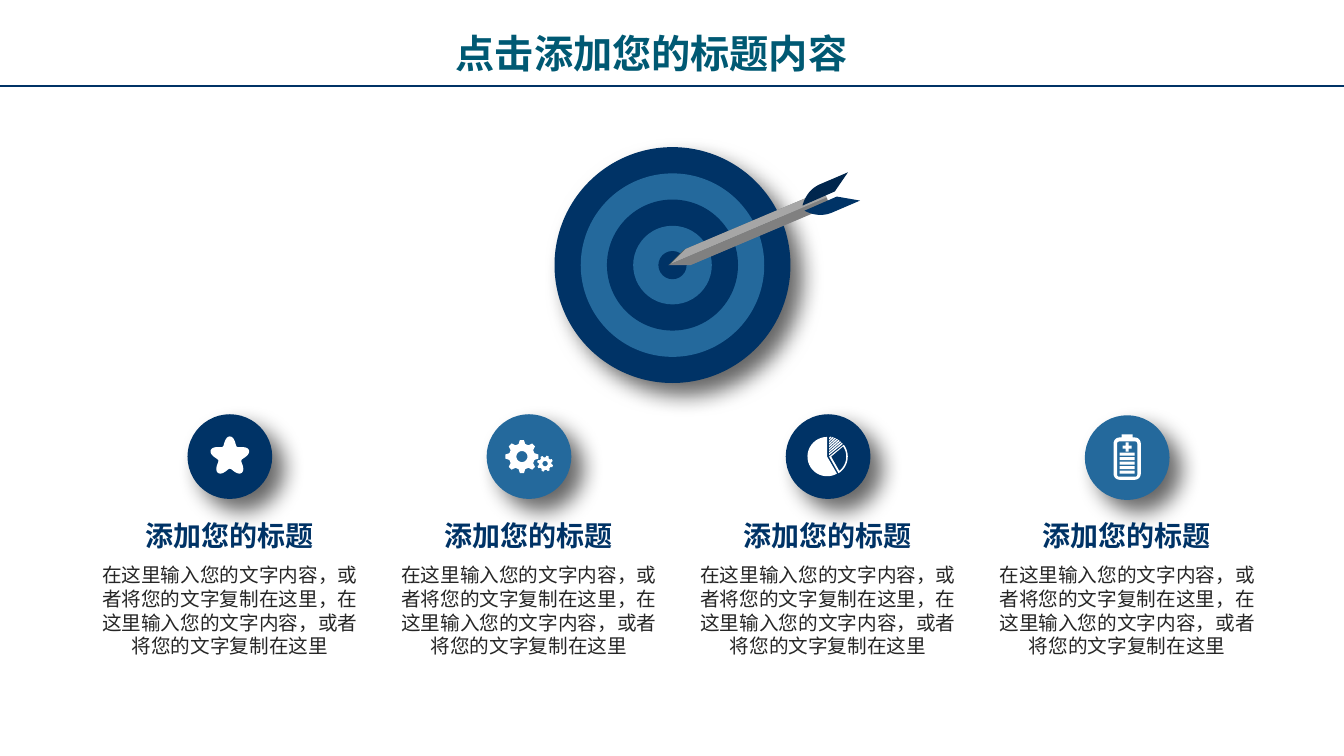
from dataclasses import dataclass
from math import cos, radians, sin

from lxml import etree
from pptx import Presentation
from pptx.dml.color import RGBColor
from pptx.enum import shapes, text
from pptx.oxml.ns import qn
from pptx.util import Inches, Pt

NAVY = RGBColor(0x00, 0x33, 0x66)
BLUE = RGBColor(0x24, 0x69, 0x9C)
DARK_NAVY = RGBColor(0x00, 0x26, 0x4D)
TEAL = RGBColor(0x00, 0x59, 0x73)
WHITE = RGBColor(0xFF, 0xFF, 0xFF)
INK = RGBColor(0x26, 0x26, 0x26)
SLATE = RGBColor(0x51, 0x5D, 0x5D)
GREY = RGBColor(0x80, 0x80, 0x80)
MID_GREY = RGBColor(0x82, 0x82, 0x86)
LIGHT_GREY = RGBColor(0xA6, 0xA6, 0xA6)
FONT = "Noto Sans CJK SC"
HEADING = "添加您的标题"
BODY = "在这里输入您的文字内容，或者将您的文字复制在这里，在这里输入您的文字内容，或者将您的文字复制在这里"

Point = tuple[float, float]
Contour = list[Point]


@dataclass
class Item:
    color: RGBColor
    icon: list[Contour]
    circle_top: float = 4.11


@dataclass
class DartPart:
    color: RGBColor
    outline: Contour


# Outline geometry, in inches
def arc(x: float, y: float, radius: float, start: float, end: float, steps: int = 24) -> Contour:
    angles = [radians(start + (end - start) * i / steps) for i in range(steps + 1)]
    return [(x + radius * cos(a), y + radius * sin(a)) for a in angles]


def bezier(p0: Point, p1: Point, p2: Point, p3: Point, steps: int = 12) -> Contour:
    points = []
    for i in range(steps + 1):
        t = i / steps
        weights = ((1 - t) ** 3, 3 * t * (1 - t) ** 2, 3 * t * t * (1 - t), t ** 3)
        points.append(tuple(sum(w * p[axis] for w, p in zip(weights, (p0, p1, p2, p3)))
                            for axis in (0, 1)))
    return points


def box(left: float, top: float, right: float, bottom: float, radius: float = 0) -> Contour:
    if not radius:
        return [(left, top), (right, top), (right, bottom), (left, bottom)]
    corners = box(left + radius, top + radius, right - radius, bottom - radius)
    return [point for i, (x, y) in enumerate(corners)
            for point in arc(x, y, radius, 180 + 90 * i, 270 + 90 * i, 6)]


def gear(x: float, y: float, radius: float, turn: float) -> list[Contour]:
    profile = ((-15, 0.78), (-7, 1), (7, 1), (15, 0.78))
    teeth = [arc(x, y, radius * scale, turn + 45 * i + angle, 0, 1)[0]
             for i in range(8) for angle, scale in profile]
    return [teeth, arc(x, y, radius / 3, 0, 360)]


def star_icon() -> list[Contour]:
    radii = [(a, 0.16 + 0.04 * cos(radians(5 * a))) for a in range(0, 360, 4)]
    return [[(r * sin(radians(a)), -r * cos(radians(a))) for a, r in radii]]


def pie_icon() -> list[Contour]:
    contours = [
        [(-0.01, 0)] + arc(-0.01, 0, 0.195, 270, 60),
        [(0.01, 0)] + arc(0, 0, 0.195, -37, 58),
        [(0.03, 0)] + arc(0, 0, 0.18, -34, 52),
    ]
    for i in range(7):
        left_y = -0.03 - 0.026 * i
        contours.append([(0.01, left_y)] + arc(-0.01, 0, 0.2, -43 - 6.3 * i, -39 - 6.3 * i, 1)
                        + [(0.01, left_y + 0.015)])
    return contours


def battery_icon() -> list[Contour]:
    bars = [box(-0.075, -0.05 + 0.045 * i, 0.075, -0.02 + 0.045 * i) for i in range(5)]
    a, b, y = 0.045, 0.015, -0.105
    plus = [(-a, -b), (-b, -b), (-b, -a), (b, -a), (b, -b), (a, -b),
            (a, b), (b, b), (b, a), (-b, a), (-b, b), (-a, b)]
    return [box(-0.135, -0.2, 0.135, 0.22, 0.06), box(-0.1, -0.16, 0.1, 0.19, 0.02),
            box(-0.055, -0.23, 0.055, -0.2), [(px, y + py) for px, py in plus], *bars]


# Drawing
def paint(shape, color: RGBColor, shadow: bool = False) -> None:
    shape.fill.solid()
    shape.fill.fore_color.rgb = color
    shape.line.fill.background()
    shape.shadow.inherit = False
    if shadow:
        effects = shape._element.spPr.find(qn("a:effectLst"))
        outer = etree.SubElement(effects, qn("a:outerShdw"), blurRad=str(Pt(16)),
                                 dist=str(Pt(12)), dir="2700000", algn="tl", rotWithShape="0")
        black = etree.SubElement(outer, qn("a:srgbClr"), val="000000")
        etree.SubElement(black, qn("a:alpha"), val="60000")


def add_circle(slide, x: float, y: float, radius: float, color: RGBColor, shadow: bool) -> None:
    circle = slide.shapes.add_shape(shapes.MSO_SHAPE.OVAL, Inches(x - radius), Inches(y - radius),
                                    Inches(2 * radius), Inches(2 * radius))
    paint(circle, color, shadow)


def add_outline(parent, contours: list[Contour], color: RGBColor, x: float = 0, y: float = 0) -> None:
    placed = [[(Inches(x + px), Inches(y + py)) for px, py in contour] for contour in contours]
    builder = parent.shapes.build_freeform(*placed[0][0])
    for i, contour in enumerate(placed):
        if i:
            builder.move_to(*contour[0])
        builder.add_line_segments(contour[1:], close=True)
    paint(builder.convert_to_shape(), color)


def write(shape, wording: str, size: float, color: RGBColor, bold: bool, align) -> None:
    frame = shape.text_frame
    frame.text = wording
    frame.word_wrap = True
    frame.auto_size = text.MSO_AUTO_SIZE.SHAPE_TO_FIT_TEXT
    frame.vertical_anchor = text.MSO_ANCHOR.TOP
    paragraph = frame.paragraphs[0]
    paragraph.alignment = align
    paragraph.line_spacing = Pt(size * 1.2)
    run = paragraph.runs[0]
    run.font.size, run.font.bold, run.font.name = Pt(size), bold, FONT
    run.font.color.rgb = color
    etree.SubElement(run._r.get_or_add_rPr(), qn("a:ea"), typeface=FONT)


def add_text(slide, x: float, y: float, width: float, height: float, *style) -> None:
    textbox = slide.shapes.add_textbox(Inches(x), Inches(y), Inches(width), Inches(height))
    write(textbox, *style, text.PP_ALIGN.CENTER)


def main() -> None:
    presentation = Presentation()
    presentation.slide_width, presentation.slide_height = Inches(13.33), Inches(7.5)
    slide = presentation.slides.add_slide(presentation.slide_layouts[5])

    # Title and rule
    title = slide.shapes.title
    title.left, title.top, title.width, title.height = map(Inches, (4.42, 0.24, 4.5, 0.57))
    write(title, "点击添加您的标题内容", 28, TEAL, True, text.PP_ALIGN.LEFT)
    rule = slide.shapes.add_connector(shapes.MSO_CONNECTOR.STRAIGHT, 0, Inches(0.85),
                                      presentation.slide_width, Inches(0.85))
    rule.line.color.rgb = NAVY
    rule.line.width = Pt(1.5)
    etree.SubElement(rule._element.spPr, qn("a:effectLst"))

    # Target
    for i, radius in enumerate((1.17, 0.91, 0.65, 0.39, 0.14)):
        add_circle(slide, 6.67, 2.63, radius, BLUE if i % 2 else NAVY, shadow=i == 0)

    # Dart
    dart = slide.shapes.add_group_shape()
    for part in (
        DartPart(SLATE, [(6.78, 2.48), (8.15, 1.9), (8.18, 1.97), (6.63, 2.63)]),
        DartPart(MID_GREY, [(6.85, 2.63), (8.22, 2.05), (8.18, 1.97), (6.63, 2.63)]),
        DartPart(LIGHT_GREY, [(6.8, 2.47), (8.17, 1.89), (8.2, 1.96), (6.65, 2.62)]),
        DartPart(GREY, [(6.87, 2.62), (8.23, 2.04), (8.2, 1.96), (6.65, 2.62)]),
        DartPart(DARK_NAVY, bezier((7.96, 2.04), (7.96, 2.04), (7.99, 1.89), (8.13, 1.83))
                 + [(8.41, 1.71), (8.28, 1.9)]),
        DartPart(NAVY, bezier((7.98, 2.09), (7.98, 2.09), (8.11, 2.17), (8.25, 2.11))
                 + [(8.53, 1.99), (8.3, 1.95)]),
    ):
        add_outline(dart, [part.outline], part.color)

    # Four columns
    items = [
        Item(NAVY, star_icon()),
        Item(BLUE, gear(-0.07, 0, 0.165, 0) + gear(0.16, 0.07, 0.08, 18)),
        Item(NAVY, pie_icon()),
        Item(BLUE, battery_icon(), 4.12),
    ]
    for i, item in enumerate(items):
        center = 2.28 + 8.9 / 3 * i
        middle = item.circle_top + 0.42
        add_circle(slide, center, middle, 0.42, item.color, shadow=True)
        add_outline(slide, item.icon, WHITE, center, middle)
        add_text(slide, center - 1.09, 5.09, 2.17, 0.44, HEADING, 20, NAVY, True)
        add_text(slide, center - 1.38, 5.54, 2.76, 1.04, BODY, 14, INK, False)

    presentation.save("out.pptx")


if __name__ == "__main__":
    main()
